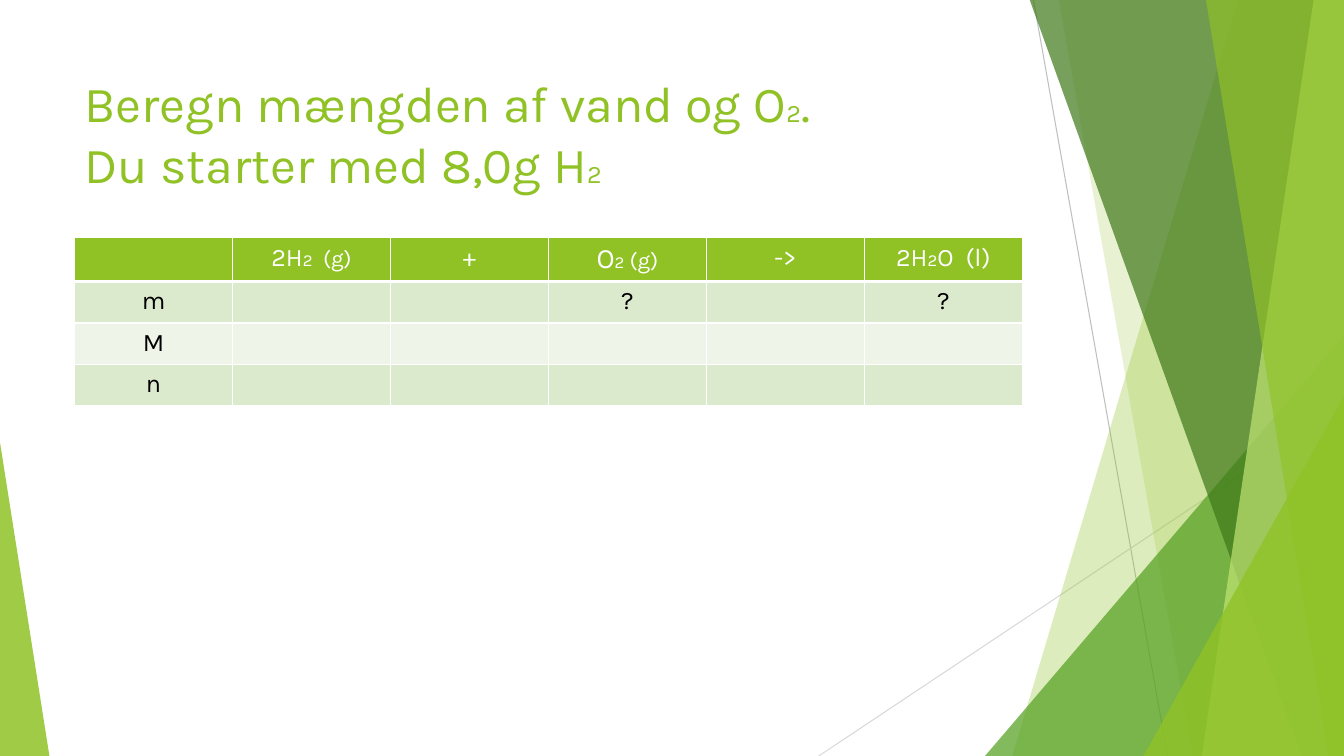
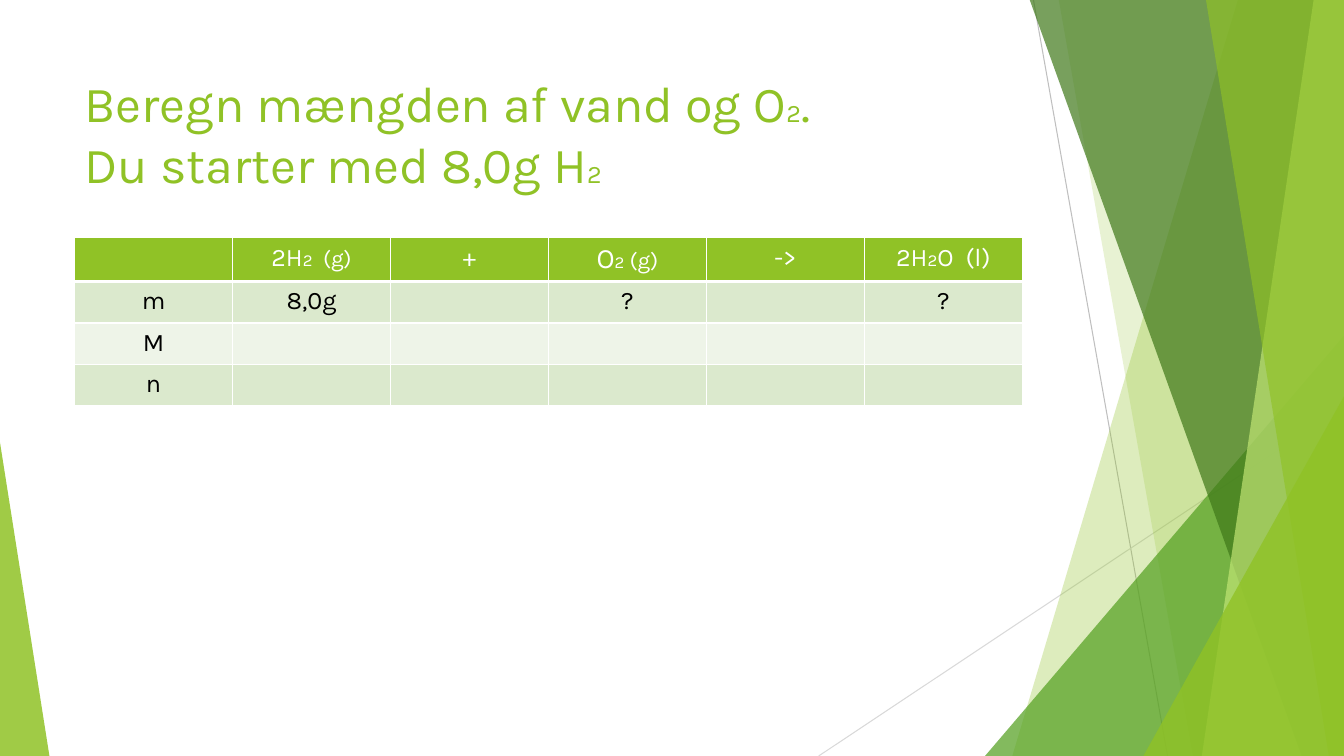
import pptx
import pptx.dml.color
import pptx.enum.shapes
import pptx.enum.text
import pptx.oxml
import pptx.oxml.ns
import pptx.util
from pptx.util import Inches

WIDTH, HEIGHT = 13.33, 7.5
MARGIN, CONTENT_WIDTH = 0.74, 9.4
FONT = "Karla"
COLORS = {
    "lime": "90C226", "green": "54A021", "forest": "3F7819", "pale": "C0E474",
    "white": "FFFFFF", "black": "000000", "band": "DBE9CD", "band_light": "EEF4E8",
    "line": "BFBFBF", "line_light": "D9D9D9",
}

# Facets from back to front; a band is given by its top x and bottom x
LINES = [((10.25, 0), (11.58, HEIGHT), "line"),
         ((WIDTH, 4.03), (8.12, HEIGHT), "line_light")]
FACETS = [
    ("band", (12.28, 10.04), "lime", 30),
    ("band", (10.5, 11.83), "lime", 20),
    ("triangle", (9.77, 3.33, 3.56, 1), "green", 72),
    ("band", (10.21, 12.91), "forest", 70),
    ("band", (13.03, 11.92), "pale", 70),
    ("band", (11.96, 13.18), "lime", 65),
    ("triangle", (11.34, 3.93, 1.99, 1), "lime", 80),
    ("triangle", (0, 4.39, 0.49, 0), "lime", 85),
]

# Text as lines of (text, size) runs
TITLE = [[("Beregn mængden af vand og O", 36), ("2", 18), (". ", 36)],
         [("Du starter med 8,0g H", 36), ("2", 18)]]
HEADER = [
    [],
    [("2H", 18), ("2", 12), ("  (g)", 16)],
    [("+", 18)],
    [("O", 20), ("2", 12), (" (g)", 16)],
    [("->", 18)],
    [("2H", 18), ("2", 12), ("O  (l)", 18)],
]


class Deck:
    """Holds the shared style and the current slide."""

    def __init__(self):
        self.presentation = pptx.Presentation()
        self.presentation.slide_width = Inches(WIDTH)
        self.presentation.slide_height = Inches(HEIGHT)
        self.slide = None

    def color(self, name):
        return pptx.dml.color.RGBColor.from_string(COLORS[name])

    def new_slide(self):
        self.slide = self.presentation.slides.add_slide(self.presentation.slide_layouts[6])
        for start, end, color in LINES:
            self.line(start, end, color)
        for kind, geometry, color, opacity in FACETS:
            draw = self.band if kind == "band" else self.triangle
            self.paint(draw(*geometry), color, opacity)

    # Decoration
    def line(self, start, end, color):
        connector = self.slide.shapes.add_connector(
            pptx.enum.shapes.MSO_CONNECTOR.STRAIGHT, *map(Inches, start + end))
        connector.line.color.rgb = self.color(color)
        connector.line.width = pptx.util.Pt(0.75)
        connector._element.spPr.append(pptx.oxml.parse_xml(
            f"<a:effectLst {pptx.oxml.ns.nsdecls('a')}/>"))

    def band(self, top_x, bottom_x):
        top = Inches(-0.01)
        builder = self.slide.shapes.build_freeform(Inches(top_x), top)
        builder.add_line_segments([(Inches(WIDTH), top), (Inches(WIDTH), Inches(HEIGHT)),
                                   (Inches(bottom_x), Inches(HEIGHT))], close=True)
        return builder.convert_to_shape()

    def triangle(self, left, top, width, apex):
        shape = self.slide.shapes.add_shape(
            pptx.enum.shapes.MSO_SHAPE.ISOSCELES_TRIANGLE,
            *map(Inches, (left, top, width, HEIGHT - top)))
        shape.adjustments[0] = apex
        return shape

    def paint(self, shape, color, opacity):
        shape.shadow.inherit = False
        shape.line.fill.background()
        shape.fill.solid()
        shape.fill.fore_color.rgb = self.color(color)
        fill_color = shape._element.spPr.find(
            pptx.oxml.ns.qn("a:solidFill") + "/" + pptx.oxml.ns.qn("a:srgbClr"))
        fill_color.append(pptx.oxml.parse_xml(
            f"<a:alpha {pptx.oxml.ns.nsdecls('a')} val='{opacity * 1000}'/>"))

    # Text
    def add_runs(self, paragraph, runs, color):
        for text, size in runs:
            run = paragraph.add_run()
            run.text = text
            for name, value in {"name": FONT, "size": pptx.util.Pt(size)}.items():
                setattr(run.font, name, value)
            run.font.color.rgb = self.color(color)

    def title(self, lines):
        box = self.slide.shapes.add_textbox(
            *map(Inches, (MARGIN, 0.67, CONTENT_WIDTH, 1.44)))
        frame = box.text_frame
        frame_format = {"word_wrap": True,
                        "vertical_anchor": pptx.enum.text.MSO_ANCHOR.TOP}
        for name, value in frame_format.items():
            setattr(frame, name, value)
        paragraph = frame.paragraphs[0]
        for index, runs in enumerate(lines):
            if index:
                paragraph.add_line_break()
            self.add_runs(paragraph, runs, "lime")

    # Table
    def table(self, rows):
        row_height = 0.41
        table = self.slide.shapes.add_table(
            len(rows), len(rows[0]),
            *map(Inches, (MARGIN, 2.36, CONTENT_WIDTH, row_height * len(rows)))).table
        for row_index, row in enumerate(rows):
            header = row_index == 0
            fill = "lime" if header else "band" if row_index % 2 else "band_light"
            for column_index, runs in enumerate(row):
                cell = table.cell(row_index, column_index)
                paragraph = cell.text_frame.paragraphs[0]
                paragraph.alignment = pptx.enum.text.PP_ALIGN.CENTER
                self.add_runs(paragraph, runs, "white" if header else "black")
                self.borders(cell, {"L": 1, "R": 1, "T": 3 if row_index == 1 else 1,
                                    "B": 3 if header else 1})
                cell.fill.solid()
                cell.fill.fore_color.rgb = self.color(fill)

    def borders(self, cell, widths):
        properties = cell._tc.get_or_add_tcPr()
        for side, points in widths.items():
            properties.append(pptx.oxml.parse_xml(
                f"<a:ln{side} {pptx.oxml.ns.nsdecls('a')} w='{pptx.util.Pt(points)}'>"
                f"<a:solidFill><a:srgbClr val='{COLORS['white']}'/></a:solidFill>"
                f"</a:ln{side}>"))


def body_row(*texts):
    return [[(text, 18)] if text else [] for text in texts]


def main():
    deck = Deck()
    # The second slide fills in the known mass of hydrogen
    for hydrogen_mass in ("", "8,0g"):
        deck.new_slide()
        deck.title(TITLE)
        deck.table([
            HEADER,
            body_row("m", hydrogen_mass, "", "?", "", "?"),
            body_row("M", "", "", "", "", ""),
            body_row("n", "", "", "", "", ""),
        ])
    deck.presentation.save("out.pptx")


if __name__ == "__main__":
    main()
